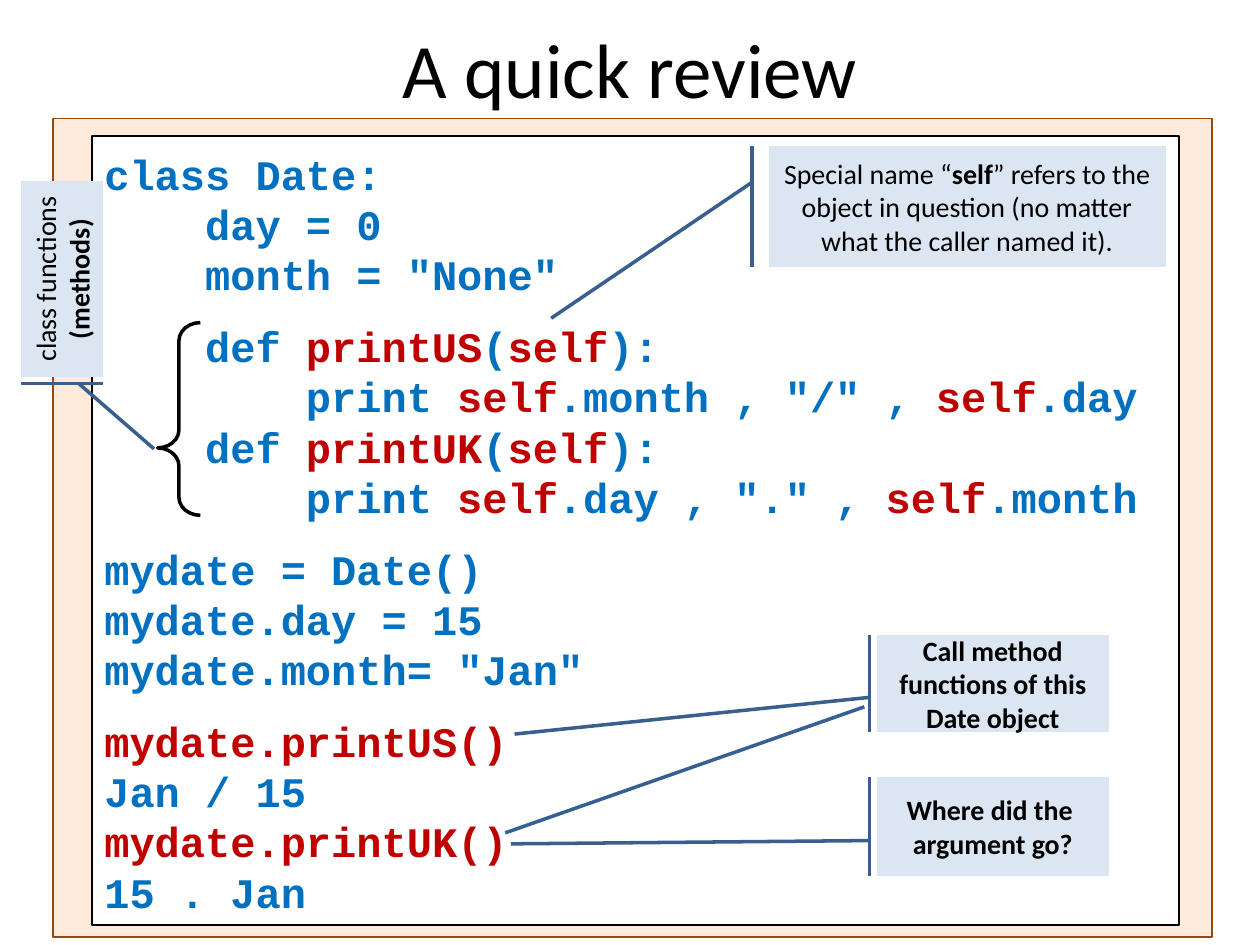
from lxml.etree import SubElement
from pptx import Presentation
from pptx.dml.color import RGBColor
from pptx.enum.shapes import MSO_CONNECTOR, MSO_SHAPE as SHAPE
from pptx.enum.text import MSO_ANCHOR as ANCHOR, PP_ALIGN as ALIGN
from pptx.oxml.ns import qn
from pptx.util import Inches, Pt

COLORS = {
    "black": "000000", "white": "FFFFFF", "peach": "FDEADA", "brown": "984807",
    "pale": "DCE6F2", "bar": "3A5F8C", "leader": "376092",
    "code": "0070C0", "key": "C00000",
}


def add_run(p, text, font, size, color, bold=False):
    r = p.add_run()
    r.text = text
    r.font.name, r.font.size, r.font.bold = font, Pt(size), bold
    r.font.color.rgb = RGBColor.from_string(COLORS[color])


def add_box(preset, box, fill, line, width):
    """Add a preset shape without shadow; fill None leaves it hollow."""
    sp = s.shapes.add_shape(preset, *map(Inches, box))
    sp.shadow.inherit = False
    if fill:
        sp.fill.solid()
        sp.fill.fore_color.rgb = RGBColor.from_string(COLORS[fill])
    else:
        sp.fill.background()
    sp.line.color.rgb = RGBColor.from_string(COLORS[line])
    sp.line.width = Pt(width)
    return sp


prs = Presentation()
prs.slide_width, prs.slide_height = Inches(10), Inches(7.5)
s = prs.slides.add_slide(prs.slide_layouts[5])

title = s.shapes.title
title.left, title.top, title.width, title.height = map(Inches, (0, 0, 10, 1.08))
title.text_frame.vertical_anchor = ANCHOR.MIDDLE
p = title.text_frame.paragraphs[0]
p.alignment = ALIGN.CENTER
add_run(p, "A quick review", "Calibri", 44, "black")

add_box(SHAPE.RECTANGLE, (0.42, 0.94, 9.2, 6.5), "peach", "brown", 1)
panel = add_box(SHAPE.RECTANGLE, (0.73, 1.08, 8.63, 6.26), "white", "black", 1)

# Blocks of code lines: (indent level, runs); every second run is a key word
code_blocks = [
    [(0, ["class Date:"]), (1, ["day = 0"]), (1, ['month = "None"'])],
    [(1, ["def ", "printUS", "(", "self", "):"]),
     (2, ["print ", "self", '.month , "/" , ', "self", ".day"]),
     (1, ["def ", "printUK", "(", "self", "):"]),
     (2, ["print ", "self", '.day , "." , ', "self", ".month"])],
    [(0, ["mydate = Date()"]), (0, ["mydate.day = 15"]), (0, ['mydate.month= "Jan"'])],
    [(0, ["", "mydate.printUS()"]), (0, ["Jan / 15"]),
     (0, ["", "mydate.printUK()"]), (0, ["15 . Jan"])],
]
tf = panel.text_frame
tf.word_wrap = True
tf.vertical_anchor = ANCHOR.TOP
tf.margin_top = Inches(0.1)
p = tf.paragraphs[0]
for b, block in enumerate(code_blocks):
    for n, (level, parts) in enumerate(block):
        if b or n:
            p = tf.add_paragraph()
        p.alignment = ALIGN.LEFT
        p.line_spacing = Pt(28.7)
        p.space_before = Pt(12.4 if b and n == 0 else 0)
        p._p.get_or_add_pPr().set("marL", str(Inches(0.8 * level)))
        for i, text in enumerate(parts):
            if text:
                add_run(p, text, "Courier New", 24, "key" if i % 2 else "code", True)

brace = add_box(SHAPE.RIGHT_BRACE, (1.25, 2.56, 0.34, 1.53), None, "black", 2)
brace.rotation = 180
brace.adjustments[0], brace.adjustments[1] = 0.42, 0.35

# Callouts: box, rotation, leader adjustments, lines of (text, bold) runs
callouts = [
    ((-0.29, 1.89, 1.56, 0.65), 270, (0.709, -0.032, 1.627, -0.364),
     [[("class functions ", False), ("(methods)", True)]]),
    ((6.96, 5.04, 1.84, 0.77), 0, (0.643, -0.032, 1.021, -1.563),
     [[("Call method functions of this Date object", True)]]),
    ((6.1, 1.16, 3.15, 0.96), 0, (0.3, -0.042, 1.424, -0.548),
     [[("Special name “", False), ("self", True),
       ("” refers to the object in question (no matter what the caller named it).", False)]]),
    ((6.96, 6.17, 1.84, 0.78), 0, (0.643, -0.032, 0.676, -1.579),
     [[("Where did the ", True)], [("argument go?", True)]]),
]
for box, rotation, leader, lines in callouts:
    sp = add_box(SHAPE.LINE_CALLOUT_1_ACCENT_BAR, box, "pale", "bar", 2)
    sp.rotation = rotation
    for i, value in enumerate(leader):
        sp.adjustments[i] = value
    tf = sp.text_frame
    tf.word_wrap = True
    tf.vertical_anchor = ANCHOR.MIDDLE
    if rotation:
        tf.margin_left = tf.margin_right = 0
    p = tf.paragraphs[0]
    p.alignment = ALIGN.CENTER
    for n, line in enumerate(lines):
        if n:
            p.add_line_break()
        for text, bold in line:
            add_run(p, text, "Calibri", 16, "black", bold)

link = s.shapes.add_connector(MSO_CONNECTOR.STRAIGHT, *map(Inches, (4.01, 6.61, 6.86, 5.61)))
link.line.color.rgb = RGBColor.from_string(COLORS["leader"])
link.line.width = Pt(2)
SubElement(link._element.spPr, qn("a:effectLst"))

prs.save("out.pptx")
